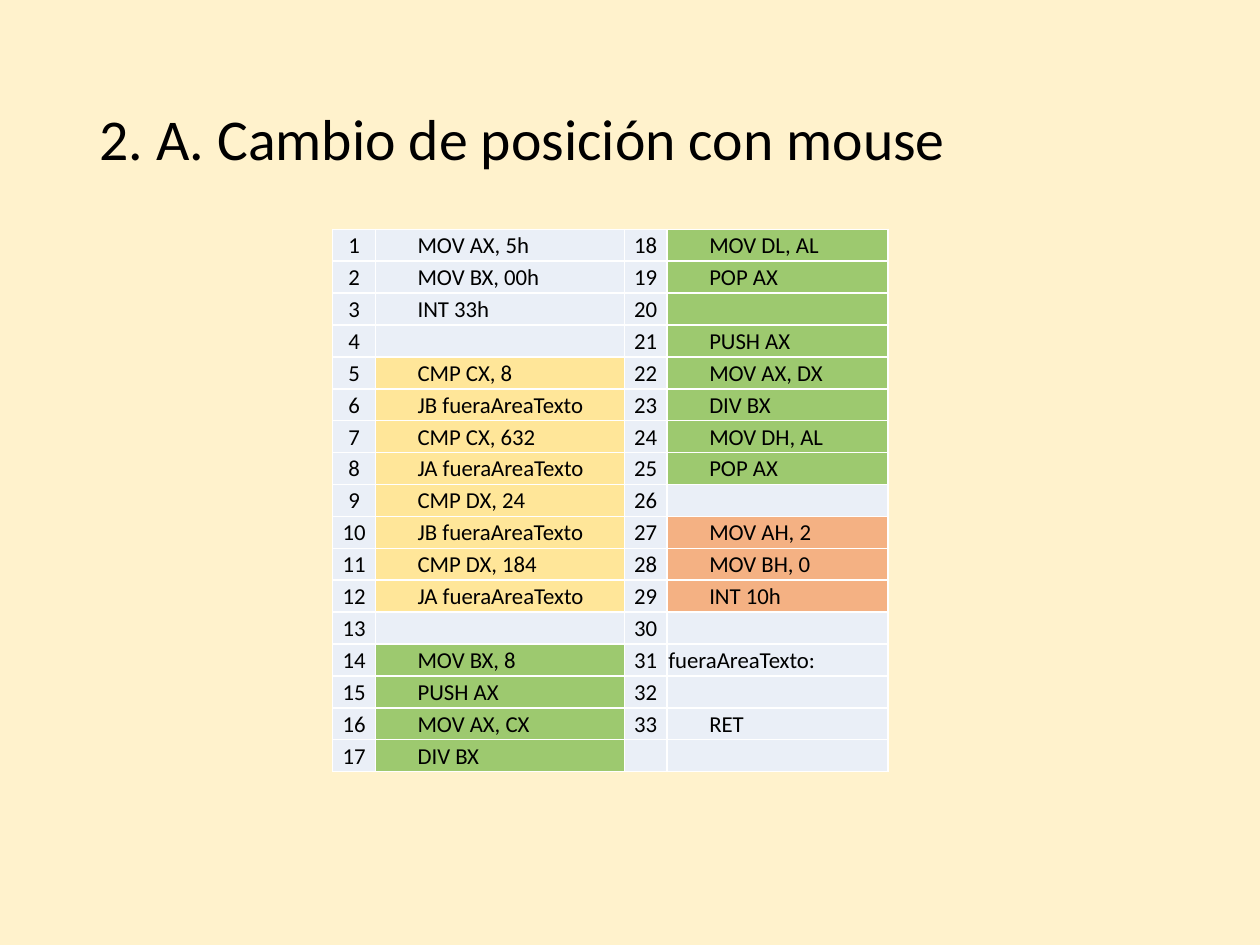
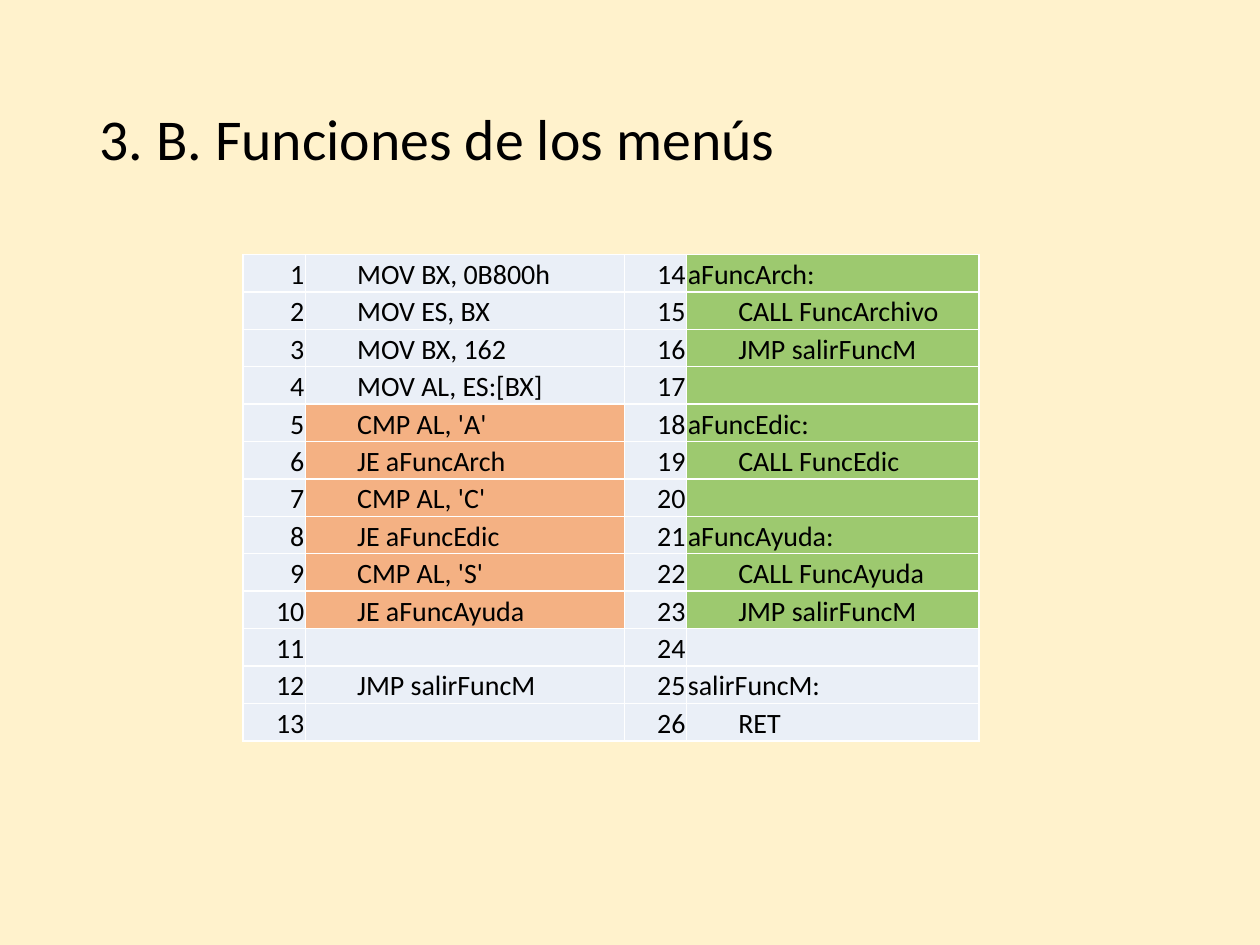
from math import ceil

from lxml.etree import SubElement
from pptx import Presentation
from pptx.dml.color import RGBColor
from pptx.enum.text import MSO_ANCHOR as Anchor, PP_ALIGN as Align
from pptx.oxml import parse_xml
from pptx.oxml.ns import nsdecls, qn
from pptx.util import Inches, Pt

COLORS = {
    "background": "FFF2CC",
    "text": "000000",
    "border": "FFFFFF",
    "pale": "EAEFF7",
    "yellow": "FFE699",
    "green": "9DC96F",
    "orange": "F4B183",
}
FONT = "Calibri"
GRID_COLS, GRID_ROWS = 100, 75


def rgb(name):
    """Return the named colour."""
    return RGBColor.from_string(COLORS[name])


def write(tf, text, size, align=Align.LEFT, spacing=None):
    """Write one formatted paragraph into a text frame."""
    p = tf.paragraphs[0]
    p.alignment = align
    if spacing:
        p.line_spacing = spacing
    if text:
        r = p.add_run()
        r.text = text
        r.font.name, r.font.size = FONT, Pt(size)
        r.font.color.rgb = rgb("text")
    else:
        SubElement(p._p, qn("a:endParaRPr"), sz=str(size * 100))


class Deck:
    """Holds the presentation style and the current slide."""

    def __init__(self):
        """Start an empty 4:3 presentation."""
        self.prs = Presentation()
        self.prs.slide_width, self.prs.slide_height = Inches(10), Inches(7.5)
        self.s = None

    def x(self, cols):
        """Convert grid columns to a length."""
        return round(self.prs.slide_width * cols / GRID_COLS)

    def y(self, rows):
        """Convert grid rows to a length."""
        return round(self.prs.slide_height * rows / GRID_ROWS)

    def slide(self, title):
        """Add a slide with its background and title."""
        self.s = self.prs.slides.add_slide(self.prs.slide_layouts[6])
        fill = self.s.background.fill
        fill.solid()
        fill.fore_color.rgb = rgb("background")
        sp = self.s.shapes.add_textbox(self.x(6.9), self.y(4), self.x(86.2), self.y(14.5))
        tf = sp.text_frame
        tf.word_wrap = True
        tf.vertical_anchor = Anchor.MIDDLE
        write(tf, title, 33, spacing=0.9)

    def cell(self, cell, text, fill, size, anchor, align=Align.LEFT, indent=0):
        """Fill, border and write one table cell."""
        cell.fill.solid()
        cell.fill.fore_color.rgb = rgb(fill)
        cell.margin_left = Inches(0.01 + indent)
        cell.margin_right = cell.margin_top = Inches(0.01)
        cell.margin_bottom = 0
        cell.vertical_anchor = anchor
        write(cell.text_frame, text, size, align)
        tc_pr = cell._tc.get_or_add_tcPr()
        for i, side in enumerate("LRTB"):
            tc_pr.insert(i, parse_xml(
                f'<a:ln{side} {nsdecls("a")} w="12700"><a:solidFill>'
                f'<a:srgbClr val="{COLORS["border"]}"/></a:solidFill></a:ln{side}>'))

    def listing(self, blocks, left, top, widths, height, size, anchor, number_align):
        """Add a numbered code listing folded into two halves."""
        lines = [(text, fill) for fill, block in blocks for text in block]
        n = ceil(len(lines) / 2)
        table = self.s.shapes.add_table(
            n, len(widths), self.x(left), self.y(top),
            self.x(sum(widths)), self.y(height)).table
        table.first_row = table.horz_banding = False
        for col, width in zip(table.columns, widths):
            col.width = self.x(width)
        for row in table.rows:
            row.height = self.y(height / n)
        for i in range(2 * n):
            text, fill = lines[i] if i < len(lines) else ("", "pale")
            number = str(i + 1) if i < len(lines) else ""
            half, row = divmod(i, n)
            indent = 0 if text.endswith(":") else 0.025 * size
            self.cell(table.cell(row, 2 * half), number, "pale", size, anchor, number_align)
            self.cell(table.cell(row, 2 * half + 1), text, fill, size, anchor, indent=indent)


MOUSE_CODE = [
    ("pale", ["MOV AX, 5h", "MOV BX, 00h", "INT 33h", ""]),
    ("yellow", ["CMP CX, 8", "JB fueraAreaTexto", "CMP CX, 632", "JA fueraAreaTexto",
                "CMP DX, 24", "JB fueraAreaTexto", "CMP DX, 184", "JA fueraAreaTexto"]),
    ("pale", [""]),
    ("green", ["MOV BX, 8", "PUSH AX", "MOV AX, CX", "DIV BX", "MOV DL, AL", "POP AX", "",
               "PUSH AX", "MOV AX, DX", "DIV BX", "MOV DH, AL", "POP AX"]),
    ("pale", [""]),
    ("orange", ["MOV AH, 2", "MOV BH, 0", "INT 10h"]),
    ("pale", ["", "fueraAreaTexto:", "", "RET"]),
]
MENU_CODE = [
    ("pale", ["MOV BX, 0B800h", "MOV ES, BX", "MOV BX, 162", "MOV AL, ES:[BX]"]),
    ("orange", ["CMP AL, 'A'", "JE aFuncArch", "CMP AL, 'C'", "JE aFuncEdic",
                "CMP AL, 'S'", "JE aFuncAyuda"]),
    ("pale", ["", "JMP salirFuncM", ""]),
    ("green", ["aFuncArch:", "CALL FuncArchivo", "JMP salirFuncM", "",
               "aFuncEdic:", "CALL FuncEdic", "",
               "aFuncAyuda:", "CALL FuncAyuda", "JMP salirFuncM"]),
    ("pale", ["", "salirFuncM:", "RET"]),
]

deck = Deck()
deck.slide("2. A. Cambio de posición con mouse")
deck.listing(MOUSE_CODE, 26.4, 18.2, (3.4, 19.75, 3.4, 17.55), 43.1, 13,
             Anchor.MIDDLE, Align.CENTER)
deck.slide("3. B. Funciones de los menús")
deck.listing(MENU_CODE, 19.3, 20.2, (4.95, 25.3, 4.95, 23.2), 38.6, 16,
             Anchor.BOTTOM, Align.RIGHT)
deck.prs.save("out.pptx")
